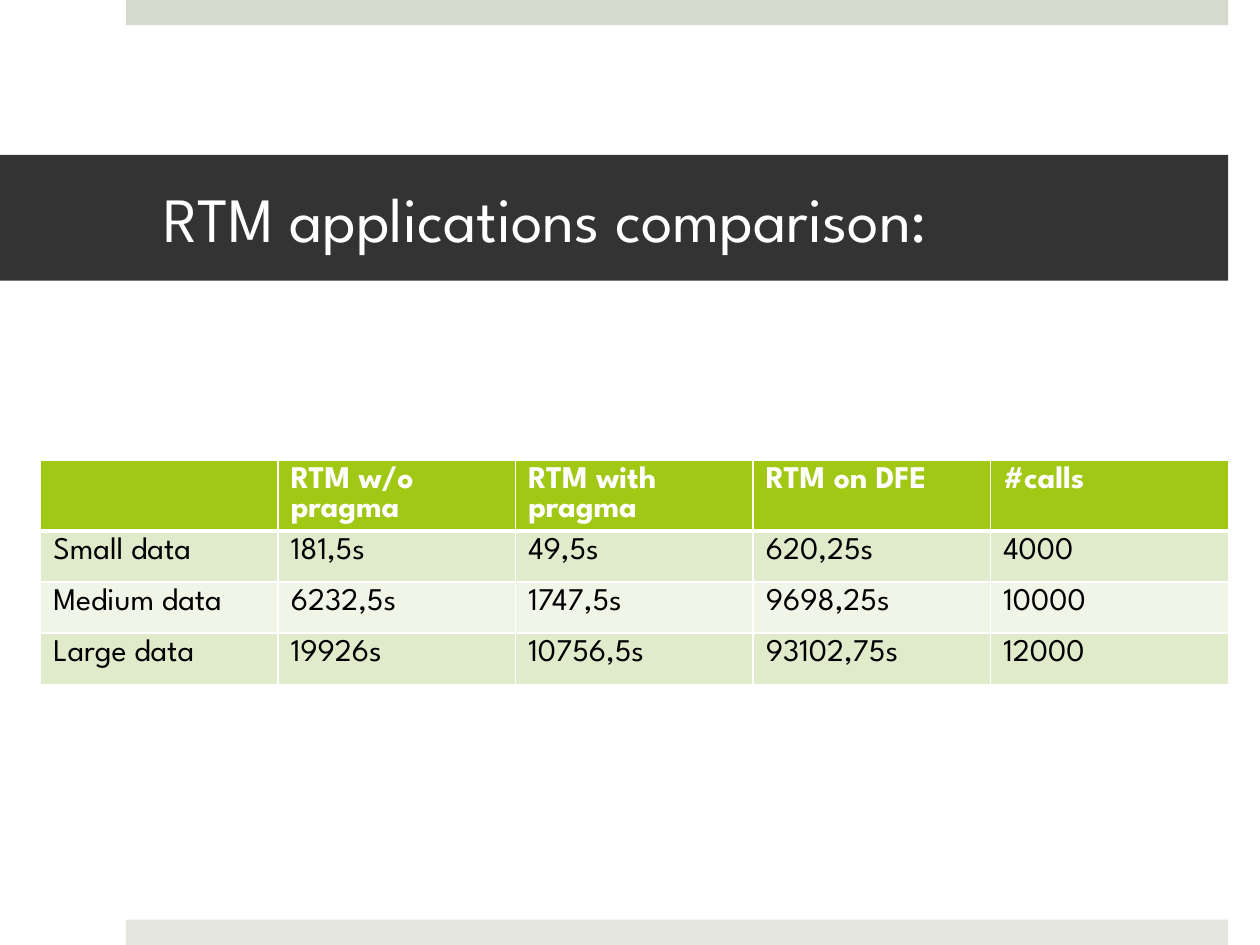
from typing import NamedTuple

from lxml.etree import SubElement
from pptx import Presentation
from pptx.dml.color import RGBColor
from pptx.enum.shapes import MSO_SHAPE
from pptx.enum.text import MSO_ANCHOR, PP_ALIGN
from pptx.oxml.ns import qn
from pptx.util import Cm, Pt

FONT = "League Spartan"
WHITE, BLACK, CHARCOAL = "FFFFFF", "000000", "333333"
HEADER_GREEN = "A2C816"
BAND_GREENS = ("E0EBCC", "F0F5E8")
THIN, THICK = Pt(1), Pt(3)
HEADER_HEIGHT, ROW_HEIGHT = Cm(1.4), Cm(1.03)

ROWS = (
    ("", "RTM w/o pragma", "RTM with pragma", "RTM on DFE", "#calls"),
    ("Small data", "181,5s", "49,5s", "620,25s", "4000"),
    ("Medium data", "6232,5s", "1747,5s", "9698,25s", "10000"),
    ("Large data", "19926s", "10756,5s", "93102,75s", "12000"),
)


class Bar(NamedTuple):
    top: float
    color: str


BARS = (Bar(0, "D6D9CD"), Bar(18.54, "E4E6DE"))


def paint(fill, color: str) -> None:
    fill.solid()
    fill.fore_color.rgb = RGBColor.from_string(color)


def write(text_frame, text: str, *, size: float, color: str, bold: bool = False) -> None:
    paragraph = text_frame.paragraphs[0]
    paragraph.alignment = PP_ALIGN.LEFT
    run = paragraph.add_run()
    run.text = text
    run.font.name = FONT
    run.font.size = Pt(size)
    run.font.bold = bold
    paint(run.font.fill, color)


def draw_bar(slide, bar: Bar) -> None:
    shape = slide.shapes.add_shape(
        MSO_SHAPE.RECTANGLE, Cm(2.54), Cm(bar.top), Cm(22.22), Cm(0.51))
    shape.shadow.inherit = False
    paint(shape.fill, bar.color)
    shape.line.fill.background()


def draw_title(slide, text: str) -> None:
    title = slide.shapes.title
    title.left, title.top, title.width, title.height = Cm(0), Cm(3.12), Cm(24.76), Cm(2.54)
    paint(title.fill, CHARCOAL)
    text_frame = title.text_frame
    text_frame.vertical_anchor = MSO_ANCHOR.MIDDLE
    text_frame.margin_left, text_frame.margin_right = Cm(3.3), Cm(0.76)
    write(text_frame, text, size=36, color=WHITE)


def set_borders(cell, top: int, bottom: int) -> None:
    properties = cell._tc.get_or_add_tcPr()
    for side, width in (("L", THIN), ("R", THIN), ("T", top), ("B", bottom)):
        line = SubElement(properties, qn(f"a:ln{side}"), w=str(width))
        solid_fill = SubElement(line, qn("a:solidFill"))
        SubElement(solid_fill, qn("a:srgbClr"), val=WHITE)


def draw_table(slide, rows: tuple) -> None:
    height = HEADER_HEIGHT + ROW_HEIGHT * (len(rows) - 1)
    table = slide.shapes.add_table(
        len(rows), len(rows[0]), Cm(0.82), Cm(9.28), Cm(23.94), height).table
    for row_index, texts in enumerate(rows):
        is_header = row_index == 0
        table.rows[row_index].height = HEADER_HEIGHT if is_header else ROW_HEIGHT
        fill = HEADER_GREEN if is_header else BAND_GREENS[(row_index - 1) % 2]
        for column_index, text in enumerate(texts):
            cell = table.cell(row_index, column_index)
            # The thick rule is shared by the header and the first data row
            set_borders(cell, top=THICK if row_index == 1 else THIN,
                        bottom=THICK if is_header else THIN)
            paint(cell.fill, fill)
            if text:
                write(cell.text_frame, text, size=18, bold=is_header,
                      color=WHITE if is_header else BLACK)


def main() -> None:
    presentation = Presentation()
    presentation.slide_width, presentation.slide_height = Cm(25.4), Cm(19.05)
    slide = presentation.slides.add_slide(presentation.slide_layouts[5])

    # Decorative bars at the top and bottom edges
    for bar in BARS:
        draw_bar(slide, bar)

    # Title band and results
    draw_title(slide, "RTM applications comparison:")
    draw_table(slide, ROWS)

    presentation.save("out.pptx")


if __name__ == "__main__":
    main()
